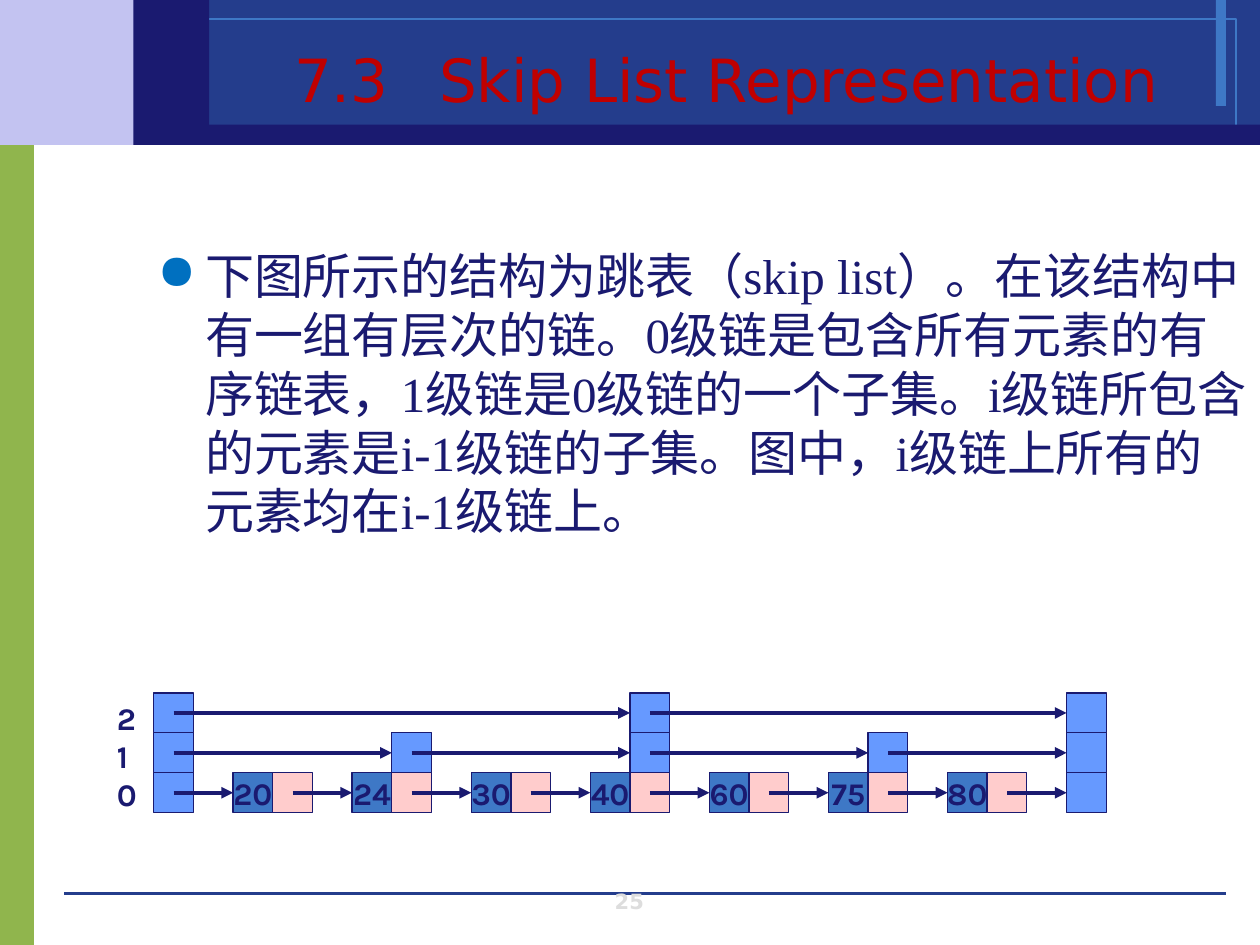
"""Build the slide on the skip list representation."""
from collections import namedtuple
from dataclasses import dataclass

from lxml.etree import SubElement
from pptx import Presentation
from pptx.dml.color import RGBColor
from pptx.enum.shapes import MSO_CONNECTOR as Connector, MSO_SHAPE as Preset
from pptx.enum.text import MSO_ANCHOR as Anchor, PP_ALIGN as Align
from pptx.oxml.ns import qn
from pptx.util import Inches, Pt

Box = namedtuple("Box", "left top width height")


@dataclass(frozen=True)
class Theme:
    """Colours, fonts and sizes of the slide."""
    navy: str = "1A1A70"
    banner: str = "243D8C"
    blue: str = "3E78C6"
    lilac: str = "C3C3F1"
    green: str = "90B54D"
    red: str = "C00000"
    bullet: str = "0070C0"
    pointer: str = "FFCCCC"
    tower: str = "6699FF"
    grey: str = "DDDDDD"
    heading_font: str = "DejaVu Sans"
    body_font: str = "Times New Roman"
    diagram_font: str = "Karla"
    title_size: int = 34
    body_size: int = 28
    diagram_size: int = 18
    number_size: int = 12


THEME = Theme()
ELEMENTS = (20, 24, 30, 40, 60, 75, 80)
LEVELS = (range(7), (1, 3, 5), (3,))
BODY = (
    "下图所示的结构为跳表（skip list）。在该结构中有一组有层次的链。"
    "0级链是包含所有元素的有序链表，1级链是0级链的一个子集。"
    "i级链所包含的元素是i-1级链的子集。图中，i级链上所有的元素均在i-1级链上。"
)


def add_rectangle(slide, box, fill=None, line=None, line_width=0):
    """Add a rectangle with an optional fill and outline."""
    shape = slide.shapes.add_shape(Preset.RECTANGLE, *map(Inches, box))
    shape.shadow.inherit = False
    if fill:
        shape.fill.solid()
        shape.fill.fore_color.rgb = RGBColor.from_string(fill)
    else:
        shape.fill.background()
    if line:
        shape.line.color.rgb = RGBColor.from_string(line)
        shape.line.width = Pt(line_width)
    else:
        shape.line.fill.background()
    return shape


def add_line(slide, start, end, color, width=0, arrow=False):
    """Add a straight line, with an arrowhead at its end if wanted."""
    connector = slide.shapes.add_connector(
        Connector.STRAIGHT, *map(Inches, (*start, *end)))
    connector.line.color.rgb = RGBColor.from_string(color)
    connector.line.width = Pt(width)
    if arrow:
        SubElement(connector.line._get_or_add_ln(), qn("a:tailEnd"), type="triangle")
    SubElement(connector._element.spPr, qn("a:effectLst"))


def write_text(shape, text, font, size, color, bold=False, align=Align.LEFT,
               anchor=Anchor.TOP, wrap=True, bullet=None, indent=0):
    """Write one formatted paragraph into a shape."""
    frame = shape.text_frame
    frame.word_wrap = wrap
    frame.vertical_anchor = anchor
    paragraph = frame.paragraphs[0]
    paragraph.alignment = align
    if bullet:
        properties = paragraph._p.get_or_add_pPr()
        properties.set("marL", str(Inches(indent)))
        properties.set("indent", str(-Inches(indent)))
        SubElement(SubElement(properties, qn("a:buClr")), qn("a:srgbClr"), val=bullet)
        SubElement(properties, qn("a:buChar"), char="●")
    run = paragraph.add_run()
    run.text = text
    run.font.name = font
    run.font.size = Pt(size)
    run.font.bold = bold
    run.font.color.rgb = RGBColor.from_string(color)


def add_text(slide, box, text, **text_format):
    """Add a text box holding one paragraph."""
    write_text(slide.shapes.add_textbox(*map(Inches, box)), text, **text_format)


def add_header(slide, box):
    """Draw the banner blocks and the title."""
    left, top, width, height = box
    right, bottom = left + width, top + height
    block = left + 1.53
    add_rectangle(slide, Box(left, top, 1.53, height), THEME.lilac)
    add_rectangle(slide, Box(block, top, right - block, height), THEME.banner)
    add_rectangle(slide, Box(right - 0.35, top, 0.08, 0.84), THEME.blue)
    add_rectangle(slide, Box(left + 1.19, top + 0.15, 8.62, 0.85), line=THEME.blue)
    add_rectangle(slide, Box(left + 1.3, bottom - 0.16, width - 1.3, 0.16), THEME.navy)
    add_rectangle(slide, Box(left + 1.06, top, 0.6, height), THEME.navy)
    add_text(slide, Box(block, top + 0.21, right - block, 0.75),
             "7.3\t Skip List Representation", font=THEME.heading_font,
             size=THEME.title_size, color=THEME.red,
             align=Align.CENTER, anchor=Anchor.BOTTOM)


def add_footer(slide, box):
    """Draw the rule and the page number below it."""
    left, top, width, height = box
    add_line(slide, (left, top), (left + width, top), THEME.banner)
    add_text(slide, Box(left + 3.32, top - 0.04, 2.33, height), "25",
             font=THEME.heading_font, size=THEME.number_size, color=THEME.grey,
             bold=True, align=Align.CENTER, anchor=Anchor.BOTTOM)


def add_body(slide, box):
    """Write the bulleted explanation."""
    add_text(slide, box, BODY, font=THEME.body_font, size=THEME.body_size,
             color=THEME.navy, bullet=THEME.bullet, indent=0.38)


def add_skip_list(slide, box):
    """Draw the towers, elements and chains of the skip list."""
    label_width = 0.39
    tail_column = 3 * len(ELEMENTS) + 2
    cell_width = (box.width - label_width) / (tail_column + 1)
    cell_height = box.height / len(LEVELS)
    label_format = dict(font=THEME.diagram_font, size=THEME.diagram_size,
                        color=THEME.navy, bold=True)

    def cell_box(column, level):
        return Box(box.left + label_width + column * cell_width,
                   box.top + (len(LEVELS) - 1 - level) * cell_height,
                   cell_width, cell_height)

    def add_cell(column, level, fill):
        return add_rectangle(slide, cell_box(column, level), fill, THEME.navy, 0.75)

    for index, element in enumerate(ELEMENTS):
        shape = add_cell(3 * index + 2, 0, THEME.blue)
        write_text(shape, str(element), align=Align.CENTER, anchor=Anchor.MIDDLE,
                   wrap=False, **label_format)

    for level, members in enumerate(LEVELS):
        pointers = [3 * index + 3 for index in members]
        for column in (0, *pointers, tail_column):
            is_element = level == 0 and column in pointers
            add_cell(column, level, THEME.pointer if is_element else THEME.tower)
        offset = 1 if level == 0 else 0
        targets = [column - offset for column in pointers] + [tail_column]
        for source, target in zip([0] + pointers, targets):
            start, end = cell_box(source, level), cell_box(target, level)
            middle = start.top + cell_height / 2
            add_line(slide, (start.left + cell_width / 2, middle), (end.left, middle),
                     THEME.navy, 2.25, arrow=True)

    add_text(slide, Box(box.left, box.top, 0.31, 1), "210", **label_format)


def main():
    """Assemble and save the slide."""
    presentation = Presentation()
    presentation.slide_width, presentation.slide_height = Inches(10), Inches(7.5)
    slide = presentation.slides.add_slide(presentation.slide_layouts[6])
    add_rectangle(slide, Box(0, 1.07, 0.27, 6.43), THEME.green)
    add_header(slide, Box(0, 0, 10, 1.15))
    add_footer(slide, Box(0.51, 7.09, 9.22, 0.25))
    add_body(slide, Box(1.15, 1.9, 8.85, 2.85))
    add_skip_list(slide, Box(0.83, 5.5, 7.95, 0.95))
    presentation.save("out.pptx")


if __name__ == "__main__":
    main()
